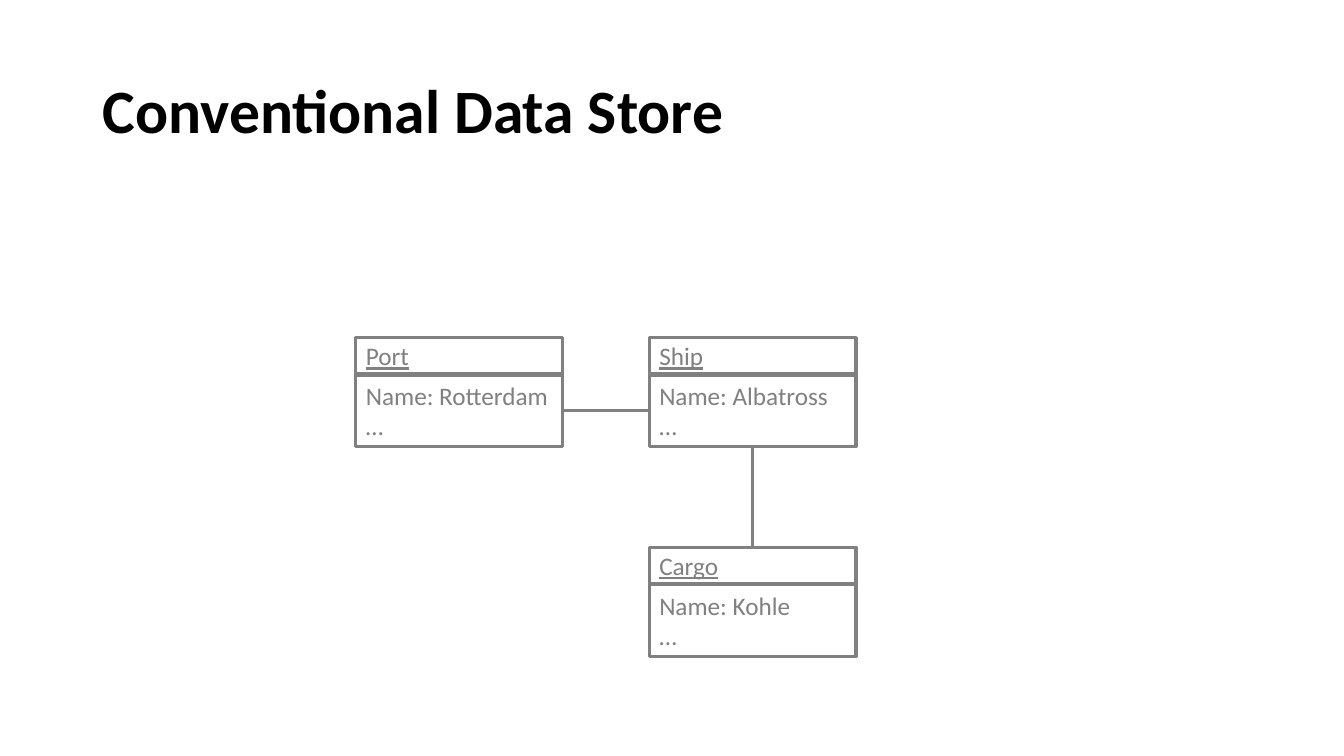
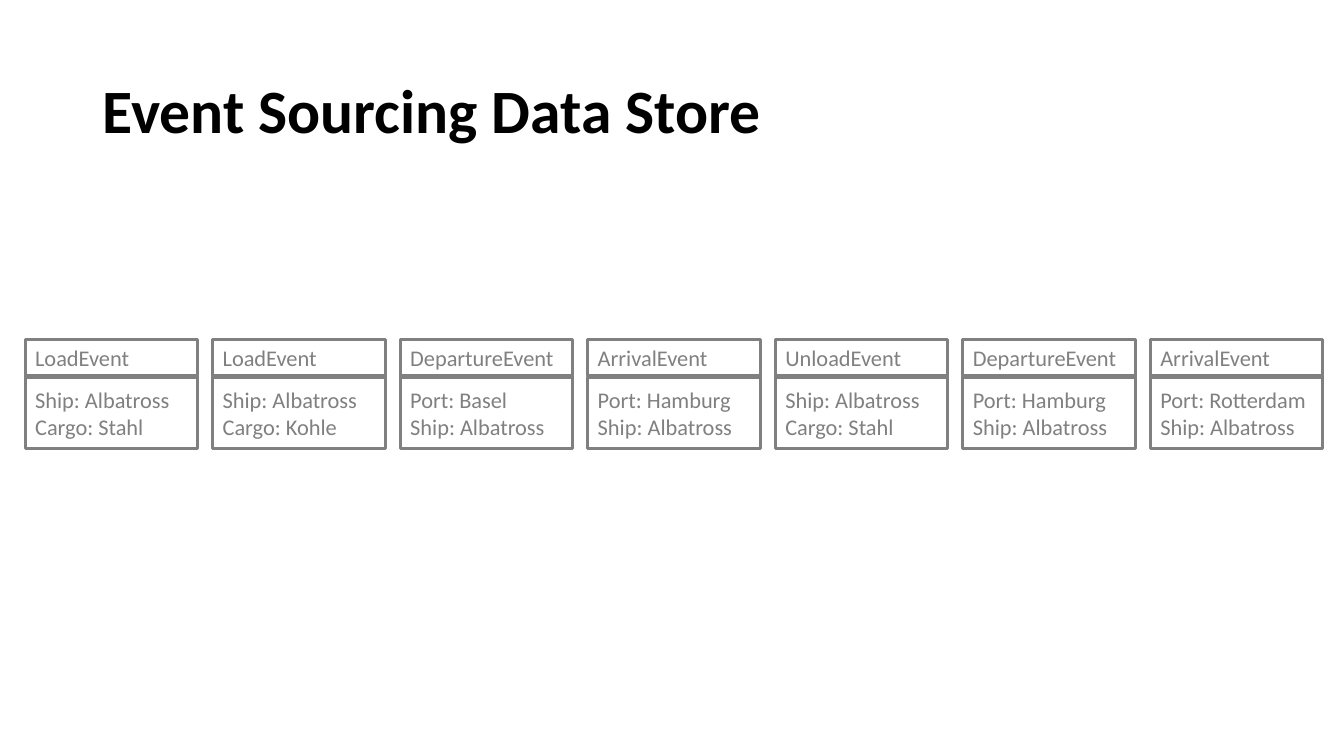
"""Build two slides comparing a conventional and an event sourcing data store."""
from dataclasses import dataclass

from lxml import etree
from pptx import Presentation
from pptx.dml.color import RGBColor
from pptx.enum.shapes import MSO_CONNECTOR, MSO_SHAPE
from pptx.enum.text import MSO_ANCHOR, PP_ALIGN
from pptx.oxml.ns import qn
from pptx.util import Inches, Pt

RECT, STRAIGHT = MSO_SHAPE.RECTANGLE, MSO_CONNECTOR.STRAIGHT
MIDDLE, LEFT = MSO_ANCHOR.MIDDLE, PP_ALIGN.LEFT
TOP_SIDE, LEFT_SIDE, BOTTOM_SIDE, RIGHT_SIDE = range(4)


@dataclass(frozen=True)
class Theme:
    font: str = "Calibri"
    ink: RGBColor = RGBColor(0, 0, 0)
    grey: RGBColor = RGBColor(0x80, 0x80, 0x80)
    title: float = 44
    record: float = 18
    event: float = 16
    line: float = 2.25


T = Theme()
SLIDE_W, SLIDE_H = 13.33, 7.5
TITLE_BOX = (0.92, 0.4, 11.5, 1.45)
HEAD_H, BODY_DY, BODY_H = 0.36, 0.37, 0.71

RECORD_X, RECORD_Y = (3.53, 6.44), (3.35, 5.43)
RECORD_W = 2.05
RECORDS = {
    "Port": (0, 0, ["Name: Rotterdam", "…"]),
    "Ship": (1, 0, ["Name: Albatross", "…"]),
    "Cargo": (1, 1, ["Name: Kohle", "…"]),
}

EVENT_X, EVENT_Y, EVENT_W, EVENT_PITCH = 0.25, 3.37, 1.71, 1.86
EVENTS = [
    ("LoadEvent", ["Ship: Albatross", "Cargo: Stahl"]),
    ("LoadEvent", ["Ship: Albatross", "Cargo: Kohle"]),
    ("DepartureEvent", ["Port: Basel", "Ship: Albatross"]),
    ("ArrivalEvent", ["Port: Hamburg", "Ship: Albatross"]),
    ("UnloadEvent", ["Ship: Albatross", "Cargo: Stahl"]),
    ("DepartureEvent", ["Port: Hamburg", "Ship: Albatross"]),
    ("ArrivalEvent", ["Port: Rotterdam", "Ship: Albatross"]),
]


def write(sp, lines, size, color, spacing=1.0, **fmt):
    tf = sp.text_frame
    tf.word_wrap = True
    tf.vertical_anchor = MIDDLE
    for i, line in enumerate(lines):
        p = tf.add_paragraph() if i else tf.paragraphs[0]
        p.alignment = LEFT
        p.line_spacing = spacing
        r = p.add_run()
        r.text = line
        r.font.color.rgb = color
        for name, value in dict(name=T.font, size=Pt(size), **fmt).items():
            setattr(r.font, name, value)


def add_slide(prs, title):
    s = prs.slides.add_slide(prs.slide_layouts[6])
    sp = s.shapes.add_textbox(*map(Inches, TITLE_BOX))
    write(sp, [title], T.title, T.ink, 0.9, bold=True)
    return s


def add_rect(s, box, lines, size, **fmt):
    sp = s.shapes.add_shape(RECT, *map(Inches, box))
    sp.shadow.inherit = False
    sp.fill.background()
    sp.line.color.rgb = T.grey
    sp.line.width = Pt(T.line)
    write(sp, lines, size, T.grey, **fmt)
    return sp


def add_card(s, x, y, w, head, body, size, underline=False):
    return (add_rect(s, (x, y, w, HEAD_H), [head], size, underline=underline),
            add_rect(s, (x, y + BODY_DY, w, BODY_H), body, size))


def join(s, start, start_side, end, end_side):
    c = s.shapes.add_connector(STRAIGHT, 0, 0, 0, 0)
    c.begin_connect(start, start_side)
    c.end_connect(end, end_side)
    c.line.color.rgb = T.grey
    c.line.width = Pt(T.line)
    etree.SubElement(c._element.spPr, qn("a:effectLst"))


def conventional_slide(prs):
    s = add_slide(prs, "Conventional Data Store")
    cards = {
        head: add_card(s, RECORD_X[col], RECORD_Y[row], RECORD_W, head, body,
                       T.record, underline=True)
        for head, (col, row, body) in RECORDS.items()
    }
    ship_body = cards["Ship"][1]
    join(s, cards["Port"][1], RIGHT_SIDE, ship_body, LEFT_SIDE)
    join(s, ship_body, BOTTOM_SIDE, cards["Cargo"][0], TOP_SIDE)


def event_slide(prs):
    s = add_slide(prs, "Event Sourcing Data Store")
    for i, (head, body) in enumerate(EVENTS):
        add_card(s, EVENT_X + i * EVENT_PITCH, EVENT_Y, EVENT_W, head, body, T.event)


def main():
    prs = Presentation()
    prs.slide_width, prs.slide_height = Inches(SLIDE_W), Inches(SLIDE_H)
    conventional_slide(prs)
    event_slide(prs)
    prs.save("out.pptx")


if __name__ == "__main__":
    main()
